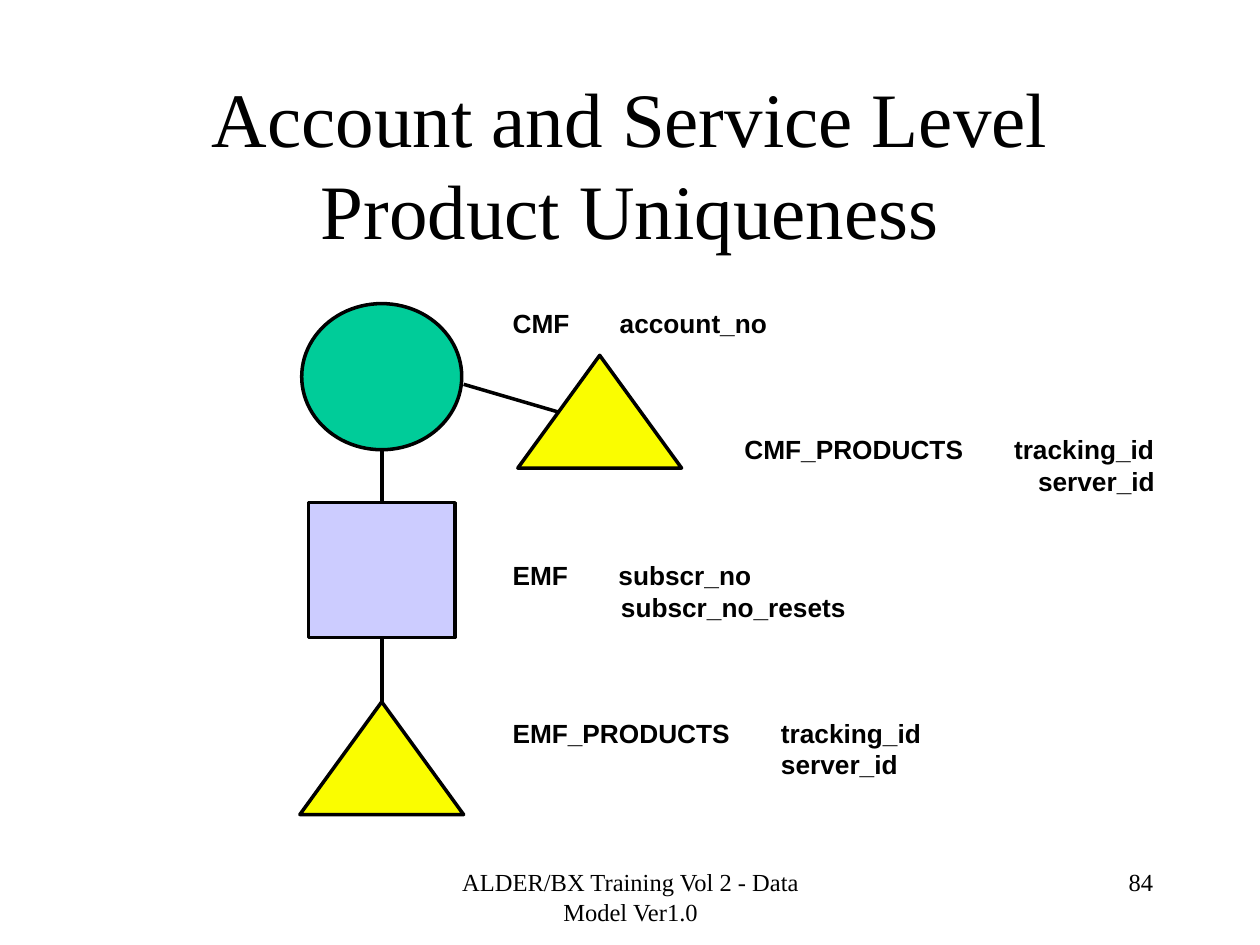
from lxml import etree
from pptx import Presentation
from pptx.dml.color import RGBColor
from pptx.enum.shapes import MSO_CONNECTOR, MSO_SHAPE
from pptx.enum.text import MSO_ANCHOR, PP_ALIGN
from pptx.oxml.ns import qn
from pptx.util import Inches, Pt

BLACK = RGBColor(0x00, 0x00, 0x00)
GREEN = RGBColor(0x00, 0xCC, 0x99)
LAVENDER = RGBColor(0xCC, 0xCC, 0xFF)
YELLOW = RGBColor(0xFA, 0xFD, 0x00)
SERIF, SANS = "Times New Roman", "Arial"
LEFT, CENTER, RIGHT = PP_ALIGN.LEFT, PP_ALIGN.CENTER, PP_ALIGN.RIGHT
TOP, MIDDLE = MSO_ANCHOR.TOP, MSO_ANCHOR.MIDDLE
OVAL, RECTANGLE = MSO_SHAPE.OVAL, MSO_SHAPE.RECTANGLE
TRIANGLE = MSO_SHAPE.ISOSCELES_TRIANGLE
STRAIGHT = MSO_CONNECTOR.STRAIGHT
CELL = Inches(0.1)
LINE_WIDTH = Pt(2)
BODY_SIZE, BODY_PITCH = 15, 18


class SlideBuilder:
    """Draws styled elements on a grid of 100 columns by 75 rows."""

    def __init__(self, deck):
        self.slide = deck.slides.add_slide(deck.slide_layouts[6])

    def grid(self, *cells):
        return [round(cell * CELL) for cell in cells]

    def outline(self, line):
        line.color.rgb = BLACK
        line.width = LINE_WIDTH

    def shape(self, kind, fill, *place):
        shape = self.slide.shapes.add_shape(kind, *self.grid(*place))
        shape.shadow.inherit = False
        shape.fill.solid()
        shape.fill.fore_color.rgb = fill
        self.outline(shape.line)

    def line(self, *ends):
        line = self.slide.shapes.add_connector(STRAIGHT, *self.grid(*ends))
        self.outline(line.line)
        properties = line._element.spPr
        etree.SubElement(properties, qn("a:effectLst"))

    def frame(self, place, anchor=TOP):
        box = self.slide.shapes.add_textbox(*self.grid(*place))
        box.text_frame.word_wrap = True
        box.text_frame.vertical_anchor = anchor
        return box.text_frame

    def style(self, para, name, size, pitch, align, bold=False):
        para.alignment = align
        para.line_spacing = Pt(pitch)
        for span in para.runs:
            span.font.name = name
            span.font.size = Pt(size)
            span.font.bold = bold
            span.font.color.rgb = BLACK

    def text(self, text, place, size, pitch, align, anchor=TOP):
        frame = self.frame(place, anchor)
        frame.text = text
        self.style(frame.paragraphs[0], SERIF, size, pitch, align)

    def key_list(self, rows, place):
        frame = self.frame(place)
        frame.text = "\n".join(text for text, stops, gap in rows)
        for para, (text, stops, gap) in zip(frame.paragraphs, rows):
            properties = para._p.get_or_add_pPr()
            tabs = etree.SubElement(properties, qn("a:tabLst"))
            for stop in self.grid(*stops):
                etree.SubElement(tabs, qn("a:tab"), pos=str(stop), algn="l")
            self.style(para, SANS, BODY_SIZE, BODY_PITCH, LEFT, bold=True)
            if gap:
                para.space_before = Pt(gap * BODY_PITCH)


def main():
    deck = Presentation()
    deck.slide_width, deck.slide_height = 100 * CELL, 75 * CELL
    page = SlideBuilder(deck)

    page.text("Account and Service Level Product Uniqueness",
              (7.5, 6.7, 85, 12.5), 44, 52.6, CENTER, MIDDLE)

    axis = 30.3
    page.line(axis, 31.9, axis, 57.7)
    page.shape(OVAL, GREEN, axis - 6.35, 24.1, 12.7, 11.6)
    page.shape(RECTANGLE, LAVENDER, axis - 5.8, 39.9, 11.6, 10.7)
    for left, top in ((axis - 6.5, 55.7), (41.1, 28.2)):
        page.shape(TRIANGLE, YELLOW, left, top, 13, 8.95)
    page.line(36.8, 30.5, 44.3, 32.7)

    page.key_list([
        ("CMF\taccount_no", [8.5], 0),
        ("\tCMF_PRODUCTS\ttracking_id", [18.4, 39.8], 3),
        ("\tserver_id", [41.7], 0),
        ("EMF\tsubscr_no", [8.4], 2),
        ("\tsubscr_no_resets", [8.6], 0),
        ("EMF_PRODUCTS\ttracking_id", [21.3], 3),
        ("\tserver_id", [21.3], 0),
    ], (39.7, 23.9, 53.7, 38.5))

    page.text("ALDER/BX Training Vol 2 - Data Model Ver1.0",
              (34.2, 68.3, 31.7, 5), 14, 17, CENTER)
    page.text("84", (71.7, 68.3, 20.8, 5), 14, 17, RIGHT)
    deck.save("out.pptx")


if __name__ == "__main__":
    main()
